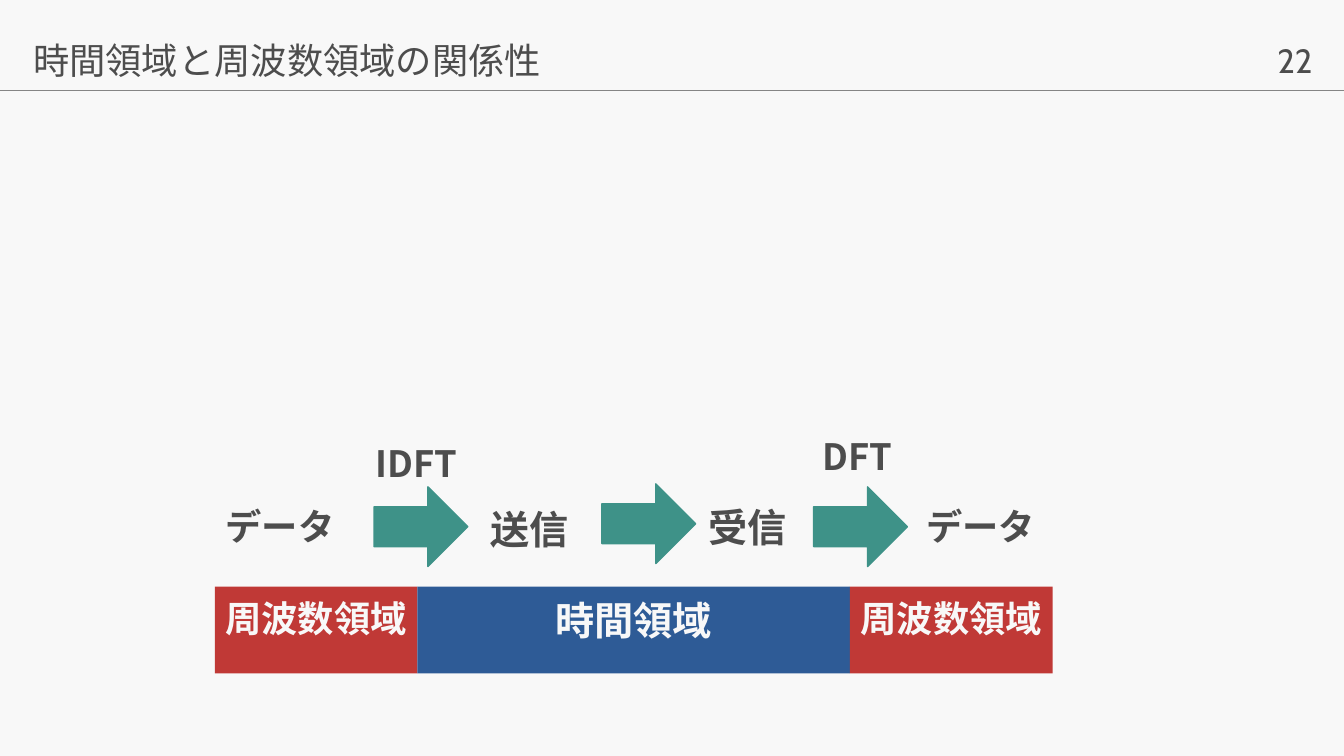
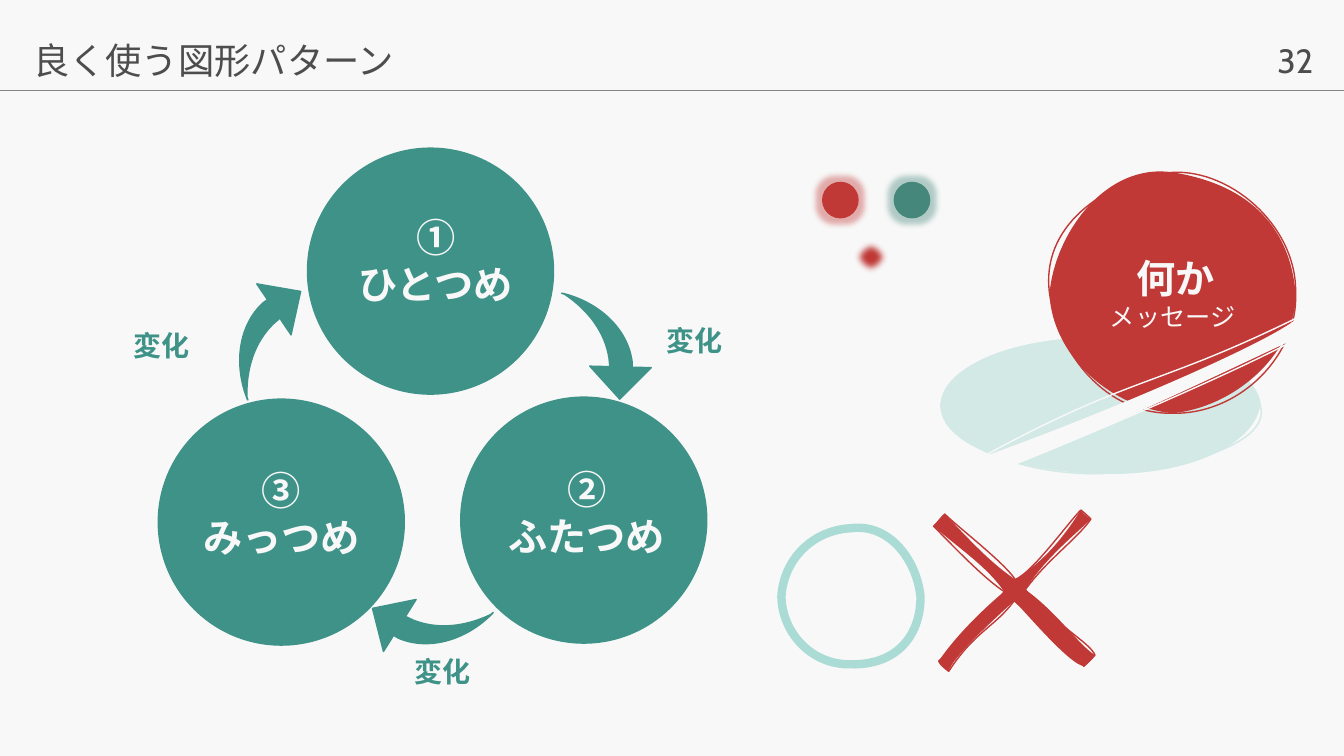
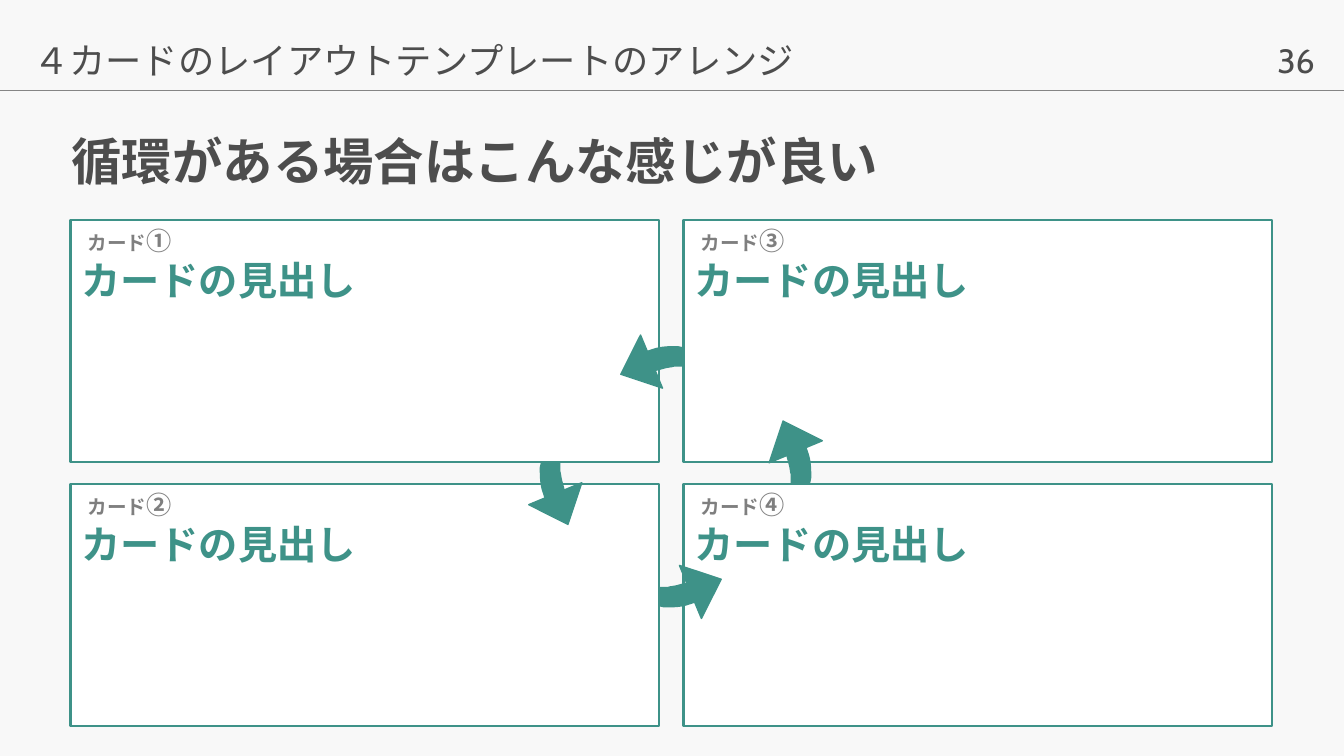
"""Build three slides on signal domains, shape patterns and card cycles."""
import dataclasses
import math

import lxml.etree
import pptx
import pptx.dml.color
import pptx.enum.shapes
import pptx.enum.text
import pptx.oxml.ns
import pptx.util

KIND = pptx.enum.shapes.MSO_SHAPE
ANCHOR = pptx.enum.text.MSO_ANCHOR
ALIGN = pptx.enum.text.PP_ALIGN


@dataclasses.dataclass(frozen=True)
class Theme:
    """Colours, fonts and type sizes."""
    paper: str = "F8F8F8"
    white: str = "FFFFFF"
    ink: str = "4D4D4D"
    gray: str = "7F7F7F"
    rule: str = "858585"
    teal: str = "3E9288"
    moss: str = "46877B"
    mint: str = "AADBD5"
    pale: str = "D3E9E5"
    red: str = "C03936"
    blue: str = "2E5B96"
    font: str = "Noto Sans CJK JP"
    digit: str = "Cabin"
    huge: float = 36
    head: float = 28
    body: float = 25.9
    page: float = 24
    note: float = 20
    small: float = 18
    tiny: float = 14


LOOK = Theme()

SWOOSH = [(-0.1, -0.15), (0.12, -0.15), (0.12, -0.21),
          (0.08, -0.53, -0.2, -0.8, -0.57, -0.89), (-0.58, -0.89),
          (-0.55, -0.88), (-0.31, -0.72, -0.15, -0.5, -0.11, -0.25)]
HOOK = [(-0.17, -0.03), (-0.1, 0.16), (-0.16, 0.18),
        (-0.24, 0.21, -0.33, 0.21, -0.41, 0.21), (-0.46, 0.2),
        (-0.46, 0.02), (-0.38, 0.02), (-0.35, 0.01, -0.31, 0.01, -0.28, 0)]
RING = [(7.75, 5.92), (7.77, 5.56, 8.05, 5.26, 8.44, 5.24),
        (8.81, 5.19, 9.09, 5.54, 9.13, 5.92),
        (9.13, 6.32, 8.88, 6.6, 8.44, 6.59),
        (8.06, 6.6, 7.76, 6.29, 7.75, 5.92)]
POOL = ([(9.33, 4.02), (9.42, 3.56, 10.16, 3.36, 10.91, 3.35),
         (11.82, 3.4, 12.46, 3.65, 12.5, 4.02),
         (12.62, 4.41, 11.7, 4.66, 10.91, 4.7),
         (10, 4.71, 9.37, 4.34, 9.33, 4.02)],
        [(9.33, 4.02), (9.32, 3.66, 10.03, 3.34, 10.91, 3.35),
         (11.85, 3.34, 12.47, 3.71, 12.5, 4.02),
         (12.44, 4.42, 11.76, 4.73, 10.91, 4.7),
         (10.07, 4.68, 9.31, 4.4, 9.33, 4.02)])
BALL = ([(10.41, 2.91), (10.32, 2.26, 10.92, 1.8, 11.63, 1.71),
         (12.22, 1.68, 12.87, 2.26, 12.85, 2.91),
         (12.88, 3.5, 12.32, 4.11, 11.63, 4.1),
         (10.97, 4.11, 10.5, 3.52, 10.41, 2.91)],
        [(10.41, 2.91), (10.46, 2.33, 10.96, 1.61, 11.63, 1.71),
         (12.33, 1.82, 12.79, 2.2, 12.85, 2.91),
         (12.87, 3.45, 12.3, 4.03, 11.63, 4.1),
         (10.97, 4.03, 10.43, 3.49, 10.41, 2.91)])
SLASH = ([(9.73, 4.54), (11.25, 3.71, 11.45, 3.85, 12.89, 3.14),
          (12.9, 3.2, 12.94, 3.26, 12.96, 3.31),
          (12.39, 3.63, 10.92, 4.27, 9.8, 4.71),
          (9.79, 4.68, 9.75, 4.59, 9.73, 4.54)],
         [(9.73, 4.54), (10.96, 4.1, 12.62, 3.39, 12.89, 3.14),
          (12.91, 3.22, 12.95, 3.28, 12.96, 3.31),
          (12.59, 3.47, 10.74, 4.38, 9.8, 4.71),
          (9.79, 4.69, 9.75, 4.58, 9.73, 4.54)])
CROSS = ([(9.37, 5.1), (9.49, 5.22, 9.96, 5.58, 10.07, 5.75),
          (10.25, 5.67, 10.59, 5.19, 10.72, 5.06),
          (10.76, 5.09, 10.78, 5.11, 10.82, 5.15),
          (10.69, 5.34, 10.38, 5.56, 10.17, 5.85),
          (10.45, 6.19, 10.82, 6.38, 10.86, 6.5),
          (10.84, 6.52, 10.81, 6.56, 10.75, 6.61),
          (10.55, 6.31, 10.18, 6.08, 10.06, 5.96),
          (9.87, 6.22, 9.67, 6.26, 9.41, 6.66),
          (9.37, 6.63, 9.33, 6.6, 9.31, 6.56),
          (9.64, 6.25, 9.83, 6.03, 9.96, 5.87),
          (9.78, 5.75, 9.54, 5.51, 9.26, 5.22),
          (9.31, 5.18, 9.35, 5.12, 9.37, 5.1)],
         [(9.37, 5.1), (9.63, 5.37, 9.82, 5.58, 10.07, 5.75),
          (10.3, 5.6, 10.5, 5.41, 10.72, 5.06),
          (10.73, 5.08, 10.77, 5.12, 10.82, 5.15),
          (10.69, 5.28, 10.37, 5.53, 10.17, 5.85),
          (10.49, 6.08, 10.69, 6.39, 10.86, 6.5),
          (10.83, 6.55, 10.81, 6.56, 10.75, 6.61),
          (10.62, 6.59, 10.28, 6.2, 10.06, 5.96),
          (9.83, 6.17, 9.44, 6.53, 9.41, 6.66),
          (9.38, 6.63, 9.34, 6.6, 9.31, 6.56),
          (9.51, 6.26, 9.86, 5.95, 9.96, 5.87),
          (9.79, 5.62, 9.51, 5.44, 9.26, 5.22),
          (9.29, 5.18, 9.34, 5.11, 9.37, 5.1)])


def inch(*vals):
    """Turn numbers into lengths."""
    return [pptx.util.Inches(val) for val in vals]


def tint(code):
    """Turn a hex code into a colour."""
    return pptx.dml.color.RGBColor.from_string(code)


def node(base, tag, **attrs):
    """Add a drawing element under a base element."""
    return lxml.etree.SubElement(base, pptx.oxml.ns.qn(tag), **attrs)


def write(shape, *lines, size=LOOK.head, color=LOOK.ink, bold=False,
          font=LOOK.font, align=ALIGN.LEFT, space=1.0, before=0,
          anchor=ANCHOR.TOP, wrap=True):
    """Fill a shape with lines, each a string or a list of (text, format)."""
    frame = shape.text_frame
    frame.word_wrap = wrap
    frame.vertical_anchor = anchor
    if not wrap:
        frame.auto_size = pptx.enum.text.MSO_AUTO_SIZE.SHAPE_TO_FIT_TEXT
    for count, line in enumerate(lines):
        para = frame.add_paragraph() if count else frame.paragraphs[0]
        para.alignment = align
        para.line_spacing = space
        para.space_before = pptx.util.Pt(before)
        for part, style in [(line, {})] if isinstance(line, str) else line:
            run = para.add_run()
            run.text = part
            run.font.size = pptx.util.Pt(style.get("size", size))
            run.font.bold = style.get("bold", bold)
            run.font.color.rgb = tint(color)
            run.font.name = font
            node(run.font._element, "a:ea", typeface=font)


def label(shapes, box, *lines, **style):
    """Add a text box."""
    write(shapes.add_textbox(*inch(*box)), *lines, **style)


def paint(shape, fill=None, line=None, width=1.0):
    """Set fill and outline and drop the shadow."""
    shape.shadow.inherit = False
    if fill:
        shape.fill.solid()
        shape.fill.fore_color.rgb = tint(fill)
    else:
        shape.fill.background()
    if line:
        shape.line.color.rgb = tint(line)
        shape.line.width = pptx.util.Pt(width)
    else:
        shape.line.fill.background()
    return shape


def block(shapes, kind, box, fill, line=None, width=1.0, turn=0.0):
    """Add a preset shape."""
    shape = shapes.add_shape(kind, *inch(*box))
    shape.rotation = turn
    return paint(shape, fill, line, width)


def rotate(x, y, turn):
    """Turn a point about the origin."""
    cos, sin = math.cos(math.radians(turn)), math.sin(math.radians(turn))
    return x * cos - y * sin, x * sin + y * cos


def remap(track, rule):
    """Apply a rule to each point of each step in a track."""
    return [tuple(val for x, y in zip(step[::2], step[1::2])
                  for val in rule(x, y)) for step in track]


def draw(shapes, tracks, fill=None, line=None, width=1.0, turn=0.0,
         spot=(0, 0)):
    """Add a curved outline, turned about spot; a pair is edge and area."""
    ends = [step[-2:] for step in tracks[0]]
    mid = [(min(axis) + max(axis)) / 2 for axis in zip(*ends)]
    move = [new - old + base
            for new, old, base in zip(rotate(*mid, turn), mid, spot)]
    tracks = [remap(track, lambda x, y: inch(x + move[0], y + move[1]))
              for track in tracks]
    first, *rest = [step[-2:] for step in tracks[0]]
    pen = shapes.build_freeform(*first)
    pen.add_line_segments(rest, close=True)
    shape = pen.convert_to_shape()
    holder = shape._element.spPr.find(".//" + pptx.oxml.ns.qn("a:pathLst"))
    holder.clear()
    modes = [{"fill": "none"}, {"stroke": "0"}] if len(tracks) > 1 else [{}]
    for track, mode in zip(tracks, modes):
        outline = node(holder, "a:path", w=str(shape.width),
                       h=str(shape.height), **mode)
        local = remap(track, lambda x, y: (x - shape.left, y - shape.top))
        for count, step in enumerate(local):
            tag = "a:cubicBezTo" if len(step) > 2 else "a:lnTo"
            part = node(outline, tag if count else "a:moveTo")
            for x, y in zip(step[::2], step[1::2]):
                node(part, "a:pt", x=str(int(x)), y=str(int(y)))
        node(outline, "a:close")
    shape.rotation = turn
    return paint(shape, fill, line, width)


def sketch(shapes, pair, color, turn=0.0):
    """Add a loose hand-drawn form."""
    flat = [remap(track, lambda x, y: rotate(x, y, -turn)) for track in pair]
    return draw(shapes, flat, color, color, turn=turn)


def bend(shapes, spot, tail, turn, tip, tilt):
    """Add a bent arrow whose head sits at spot."""
    x, y = spot
    wide, high = tip
    box = (x - wide / 2, y - high / 2, wide, high)
    block(shapes, KIND.ISOSCELES_TRIANGLE, box, LOOK.teal, LOOK.teal,
          turn=(turn + tilt) % 360)
    draw(shapes, [tail], LOOK.teal, LOOK.teal, turn=turn % 360, spot=spot)


def effect(shape, tag, rad, color=None):
    """Give a shape a glow or a soft edge."""
    base = shape._element.spPr.find(pptx.oxml.ns.qn("a:effectLst"))
    item = node(base, tag, rad=str(pptx.util.Pt(rad)))
    if color:
        node(node(item, "a:srgbClr", val=color), "a:alpha", val="40000")


def start(deck, title, page):
    """Add a slide with its title, rule and page number."""
    shapes = deck.slides.add_slide(deck.slide_layouts[6]).shapes
    label(shapes, (12.57, 0.35, 0.61, 0.5), page, size=LOOK.page,
          font=LOOK.digit, wrap=False)
    rule = shapes.add_connector(pptx.enum.shapes.MSO_CONNECTOR.STRAIGHT,
                                *inch(0, 0.9, 13.33, 0.9))
    rule.line.color.rgb = tint(LOOK.rule)
    rule.line.width = pptx.util.Pt(1)
    node(rule._element.spPr, "a:effectLst")
    label(shapes, (0.23, 0.38, 12.53, 0.51), title, size=LOOK.body,
          space=0.9, before=18)
    return shapes


def domain(deck):
    """Build the time and frequency slide."""
    shapes = start(deck, "時間領域と周波数領域の関係性", "22")
    small = dict(size=LOOK.body, space=0.9, before=18, bold=True)
    large = dict(size=LOOK.head, space=1.1, before=18, bold=True)
    for text, box, style in (("データ", (2.14, 5, 1.4, 0.51), small),
                             ("送信", (4.77, 4.92, 1.63, 0.65), large),
                             ("受信", (6.93, 4.9, 1.02, 0.65), large),
                             ("データ", (9.09, 5, 1.4, 0.51), small)):
        label(shapes, box, text, **style)
    for text, left, wide, fill, size in (
            ("周波数領域", 2.13, 2.01, LOOK.red, LOOK.body),
            ("時間領域", 4.14, 4.29, LOOK.blue, LOOK.head),
            ("周波数領域", 8.43, 2.01, LOOK.red, LOOK.body)):
        band = block(shapes, KIND.RECTANGLE, (left, 5.82, wide, 0.86), fill)
        write(band, text, size=size, color=LOOK.paper, bold=True,
              align=ALIGN.CENTER, space=1.1, before=18)
    for text, box in (("IDFT", (3.63, 4.38, 1.14, 0.51)),
                      ("DFT", (8.06, 4.31, 1.4, 0.51))):
        write(block(shapes, KIND.RECTANGLE, box, LOOK.paper), text, **small)
    for left, top in ((3.78, 4.76), (6.04, 4.73), (8.14, 4.76)):
        block(shapes, KIND.DOWN_ARROW, (left, top, 0.79, 0.93), LOOK.teal,
              LOOK.teal, turn=270)


def shape_set(deck):
    """Build the shape pattern slide."""
    shapes = start(deck, "良く使う図形パターン", "32")
    cycle = shapes.add_group_shape().shapes
    for mark, name, disc, text in (
            ("①", "ひとつめ", (3.05, 1.47), (3.01, 2.07)),
            ("③", "みっつめ", (1.57, 3.96), (1.48, 4.58)),
            ("➁", "ふたつめ", (4.57, 3.94), (4.51, 4.57))):
        block(cycle, KIND.OVAL, (*disc, 2.44, 2.44), LOOK.teal, LOOK.teal)
        label(cycle, (*text, 2.62, 1.04), mark, name, color=LOOK.paper,
              bold=True, align=ALIGN.CENTER)
    for spot, turn in (((6.15, 3.8), 0), ((3.83, 6.12), 120.7),
                       ((2.85, 2.98), 234.7)):
        bend(cycle, spot, SWOOSH, turn, (0.61, 0.32), 181.4)
    for left, top in ((5.96, 3.16), (3.46, 6.44), (0.67, 3.21)):
        label(cycle, (left, top, 1.86, 0.44), "変化", size=LOOK.note,
              color=LOOK.teal, bold=True, align=ALIGN.CENTER)
    for left, color in ((8.16, LOOK.red), (8.87, LOOK.moss)):
        dot = block(shapes, KIND.OVAL, (left, 1.81, 0.35, 0.35), color, color)
        effect(dot, "a:glow", 8, color)
    blur = block(shapes, KIND.OVAL, (8.45, 2.37, 0.38, 0.36), LOOK.red, LOOK.red)
    effect(blur, "a:softEdge", 5)
    sketch(shapes, POOL, LOOK.pale)
    ball = sketch(shapes, BALL, LOOK.red)
    write(ball, [(" ", {"bold": True}),
                 ("何か", {"size": LOOK.head, "bold": True})], "メッセージ",
          size=LOOK.small, color=LOOK.paper, align=ALIGN.CENTER,
          anchor=ANCHOR.MIDDLE)
    sketch(shapes, SLASH, LOOK.paper, 336.2)
    sketch(shapes, CROSS, LOOK.red, 43.2)
    draw(shapes, [RING], line=LOOK.mint, width=6)


def cards(deck):
    """Build the four card slide."""
    shapes = start(deck, "４カードのレイアウトテンプレートのアレンジ", "36")
    label(shapes, (0.61, 1.11, 12.42, 1.03), "循環がある場合はこんな感じが良い",
          size=LOOK.huge, bold=True, space=0.9, anchor=ANCHOR.MIDDLE)
    for count, mark in enumerate("①②③④"):
        col, row = divmod(count, 2)
        left, top = 0.7 + 6.08 * col, 2.18 + 2.62 * row
        block(shapes, KIND.RECTANGLE, (left, top, 5.84, 2.4), LOOK.white,
              LOOK.teal, 1.5)
        label(shapes, (left + 0.07, top + 0.01, 1.04, 0.4),
              [("カード", {}), (mark, {"size": LOOK.small})],
              size=LOOK.tiny, color=LOOK.gray, bold=True, wrap=False)
        label(shapes, (left + 0.01, top + 0.31, 2.95, 0.57), "カードの見出し",
              color=LOOK.teal, bold=True, wrap=False)
    tail = remap(HOOK, lambda x, y: rotate(x, y, -68.9))
    for count, spot in enumerate(((7, 5.81), (5.57, 5.05),
                                  (6.31, 3.65), (7.83, 4.33))):
        bend(shapes.add_group_shape().shapes, spot, tail, 68.9 + 90 * count,
             (0.57, 0.33), -1.4)


def main():
    """Build and save the deck."""
    deck = pptx.Presentation()
    deck.slide_width, deck.slide_height = inch(13.33, 7.5)
    back = deck.slide_master.background.fill
    back.solid()
    back.fore_color.rgb = tint(LOOK.paper)
    domain(deck)
    shape_set(deck)
    cards(deck)
    deck.save("out.pptx")


if __name__ == "__main__":
    main()
